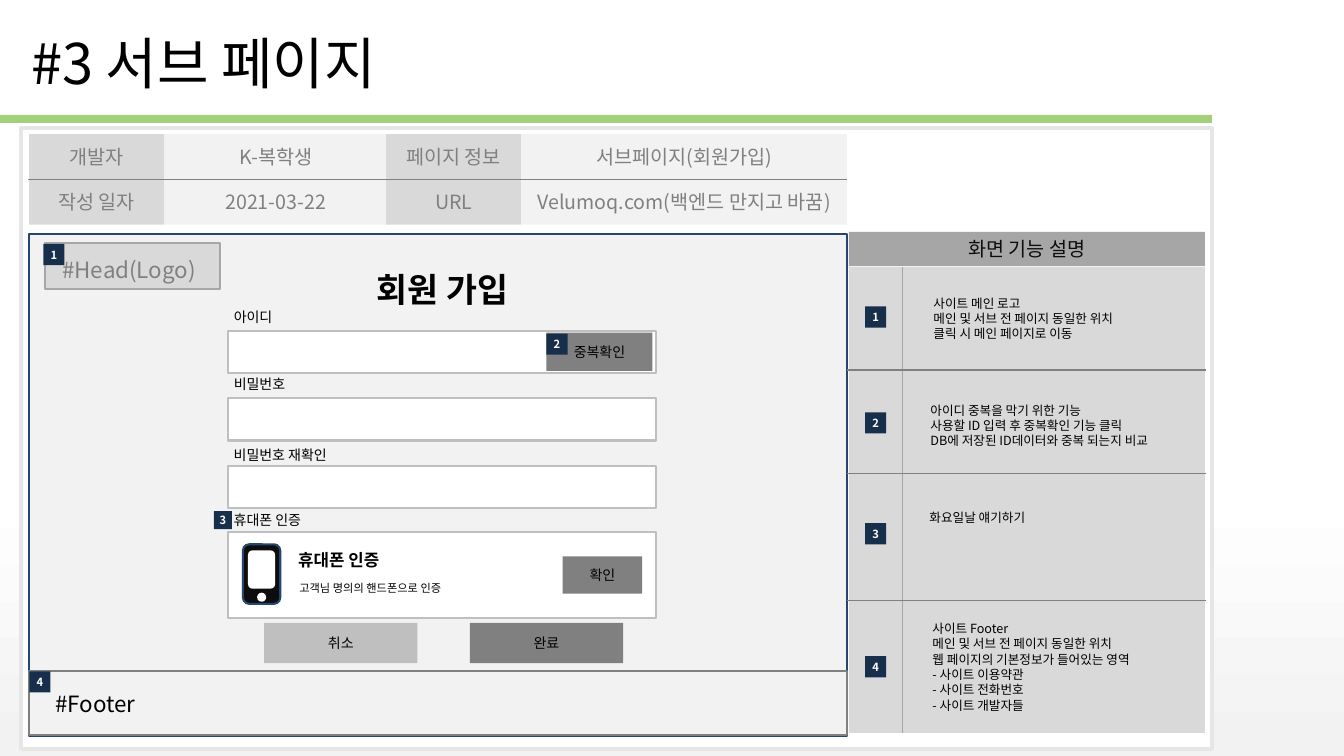
from lxml import etree
from pptx import Presentation
from pptx.dml.color import RGBColor
from pptx.enum import shapes, text
from pptx.oxml import ns
from pptx.util import Inches, Pt

FONT = "Noto Sans CJK KR"
BLACK, WHITE, GRAY = "000000", "FFFFFF", "808080"
LIGHT, PALE, SILVER = "D9D9D9", "F2F2F2", "BFBFBF"
NAVY, BLUE = "182F4C", "244670"
RECT = shapes.MSO_SHAPE.RECTANGLE
ROUND = shapes.MSO_SHAPE.ROUNDED_RECTANGLE
OVAL = shapes.MSO_SHAPE.OVAL
CENTER, LEFT = text.PP_ALIGN.CENTER, text.PP_ALIGN.LEFT


def color(value):
    """Turn a hex string into a colour."""
    return RGBColor.from_string(value)


def write(shape, lines, size, ink=BLACK, bold=False, align=CENTER, font=FONT, pitch=None):
    """Fill a shape with one paragraph per line, vertically centred."""
    frame = shape.text_frame
    frame.vertical_anchor = text.MSO_ANCHOR.MIDDLE
    for index, line in enumerate(lines):
        para = frame.add_paragraph() if index else frame.paragraphs[0]
        para.alignment = align
        if pitch:
            para.line_spacing = Pt(pitch)
        span = para.add_run()
        span.text = line
        span.font.size = Pt(size)
        span.font.bold = bold
        span.font.color.rgb = color(ink)
        span.font.name = font
        east = etree.SubElement(span.font._element, ns.qn("a:ea"))
        east.set("typeface", FONT)


def add_box(page, at, fill, line=None, weight=1.5, kind=RECT):
    """Add a flat filled shape, outlined if a line colour is given."""
    box = page.shapes.add_shape(kind, *map(Inches, at))
    box.shadow.inherit = False
    box.fill.solid()
    box.fill.fore_color.rgb = color(fill)
    if line:
        box.line.color.rgb = color(line)
        box.line.width = Pt(weight)
    else:
        box.line.fill.background()
    return box


def add_label(page, at, lines, size, **style):
    """Add left-aligned text that does not wrap."""
    label = page.shapes.add_textbox(*map(Inches, at))
    label.text_frame.word_wrap = False
    write(label, lines, size, align=LEFT, **style)


def add_button(page, at, caption, fill):
    """Add a form button."""
    write(add_box(page, at, fill), [caption], 10)


def add_badge(page, left, top, number, side=0.21):
    """Add a numbered marker."""
    badge = add_box(page, (left, top, side, side), NAVY)
    frame = badge.text_frame
    frame.margin_left = frame.margin_right = frame.margin_top = frame.margin_bottom = 0
    write(badge, [str(number)], 8, WHITE, bold=True)


def add_rule(page, x1, y1, x2, y2, ink=GRAY):
    """Add a thin straight line without a shadow."""
    rule = page.shapes.add_connector(
        shapes.MSO_CONNECTOR.STRAIGHT, *map(Inches, (x1, y1, x2, y2)))
    rule.line.color.rgb = color(ink)
    rule.line.width = Pt(1)
    etree.SubElement(rule._element.spPr, ns.qn("a:effectLst"))


def add_background(page):
    """Fade the page from white to pale gray at the bottom."""
    fill = page.background.fill
    fill.gradient()
    fill.gradient_angle = 270
    for stop, (position, value) in zip(fill.gradient_stops, ((0.65, WHITE), (0.99, PALE))):
        stop.position = position
        stop.color.rgb = color(value)


def add_title(page):
    """Place the page title and the frame below it."""
    title = page.shapes.title
    title.left, title.top, title.width, title.height = map(Inches, (0.21, 0.23, 11.6, 0.77))
    title.text_frame.word_wrap = True
    title.text_frame.auto_size = text.MSO_AUTO_SIZE.NONE
    write(title, ["#3 서브 페이지"], 40, align=LEFT)
    add_box(page, (0, 1.14, 12.02, 0.08), "A5D07A")
    add_box(page, (0.21, 1.27, 11.81, 6.16), WHITE, "E6E6E6", 3)


def add_page_info(page):
    """Add the two rows of page details."""
    columns = ((0.29, 1.34, LIGHT), (1.63, 2.21, PALE), (3.83, 1.34, LIGHT), (5.17, 3.23, PALE))
    rows = (("개발자", "K-복학생", "페이지 정보", "서브페이지(회원가입)"),
            ("작성 일자", "2021-03-22", "URL", "Velumoq.com(백엔드 만지고 바꿈)"))
    for row, captions in enumerate(rows):
        for (left, width, fill), caption in zip(columns, captions):
            cell = add_box(page, (left, 1.33 + row * 0.45, width, 0.45), fill)
            write(cell, [caption], 14, GRAY)
    add_rule(page, 0.28, 1.78, 8.4, 1.78)


def add_phone(page):
    """Draw the phone icon."""
    add_box(page, (2.41, 5.4, 0.37, 0.59), "0D0D0D", BLUE, kind=ROUND)
    add_box(page, (2.46, 5.46, 0.27, 0.38), WHITE, kind=ROUND)
    add_box(page, (2.55, 5.88, 0.09, 0.09), WHITE, kind=OVAL)


def add_form(page):
    """Add the sign-up screen with its head, fields and footer."""
    add_box(page, (0.29, 2.32, 8.11, 4.98), PALE, BLUE)
    add_label(page, (3.64, 2.62, 1.61, 0.5), ["회원 가입"], 24, bold=True)
    add_box(page, (0.29, 6.66, 8.11, 0.63), PALE, GRAY)
    add_label(page, (0.45, 6.79, 1.06, 0.37), ["#Footer"], 16)
    add_box(page, (0.45, 2.41, 1.73, 0.46), LIGHT, "A6A6A6")
    add_label(page, (0.52, 2.49, 1.55, 0.37), ["#Head(Logo)"], 16, ink=GRAY)

    fields = (("아이디", 3.01, 0.61, 3.28, 0.42), ("비밀번호", 3.67, 0.75, 3.95, 0.42),
              ("비밀번호 재확인", 4.38, 1.2, 4.62, 0.42), ("휴대폰 인증", 5.02, 0.93, 5.28, 0.85))
    for caption, label_top, label_width, top, height in fields:
        add_box(page, (2.26, top, 4.25, height), WHITE, SILVER)
        add_label(page, (2.22, label_top, label_width, 0.27), [caption], 10)

    add_phone(page)
    add_label(page, (2.86, 5.4, 1.07, 0.3), ["휴대폰 인증"], 12, bold=True)
    add_label(page, (2.87, 5.71, 1.71, 0.24), ["고객님 명의의 핸드폰으로 인증"], 8)

    add_button(page, (5.42, 3.3, 1.05, 0.38), "중복확인", GRAY)
    add_button(page, (5.58, 5.52, 0.79, 0.37), "확인", GRAY)
    add_button(page, (2.62, 6.18, 1.52, 0.4), "취소", SILVER)
    add_button(page, (4.66, 6.18, 1.52, 0.4), "완료", GRAY)

    add_badge(page, 0.43, 2.42, 1)
    add_badge(page, 5.42, 3.31, 2)
    add_badge(page, 2.12, 5.07, 3, side=0.18)
    add_badge(page, 0.29, 6.66, 4)


def add_descriptions(page):
    """Add the side panel that explains each numbered marker."""
    header = add_box(page, (8.42, 2.3, 3.53, 0.34), "A6A6A6")
    write(header, ["화면 기능 설명"], 14, "0D0D0D", font="Arial")
    add_box(page, (8.42, 2.65, 3.53, 4.62), LIGHT)
    add_rule(page, 8.95, 2.65, 8.95, 7.27, "A6A6A6")
    for height in (3.67, 4.7, 5.96):
        add_rule(page, 8.4, height, 11.96, height)

    notes = (
        (3.04, (9.16, 2.88, 2.15, 0.56),
         ["사이트 메인 로고", "메인 및 서브 전 페이지 동일한 위치", "클릭 시 메인 페이지로 이동"]),
        (4.09, (9.13, 3.94, 2.54, 0.56),
         ["아이디 중복을 막기 위한 기능", "사용할 ID 입력 후 중복확인 기능 클릭",
          "DB에 저장된 ID데이터와 중복 되는지 비교"]),
        (5.19, (9.12, 5.01, 1.22, 0.25), ["화요일날 얘기하기"]),
        (6.51, (9.15, 6.11, 2.32, 1.01),
         ["사이트 Footer", "메인 및 서브 전 페이지 동일한 위치", "웹 페이지의 기본정보가 들어있는 영역",
          "- 사이트 이용약관", "- 사이트 전화번호", "- 사이트 개발자들"]),
    )
    for number, (badge_top, at, lines) in enumerate(notes, 1):
        add_badge(page, 8.58, badge_top, number)
        add_label(page, at, lines, 9, pitch=10.9)


def main():
    """Build the page and save the deck."""
    deck = Presentation()
    deck.slide_width, deck.slide_height = Inches(13.33), Inches(7.5)
    page = deck.slides.add_slide(deck.slide_layouts[5])
    add_background(page)
    add_title(page)
    add_page_info(page)
    add_form(page)
    add_descriptions(page)
    deck.save("out.pptx")


main()
